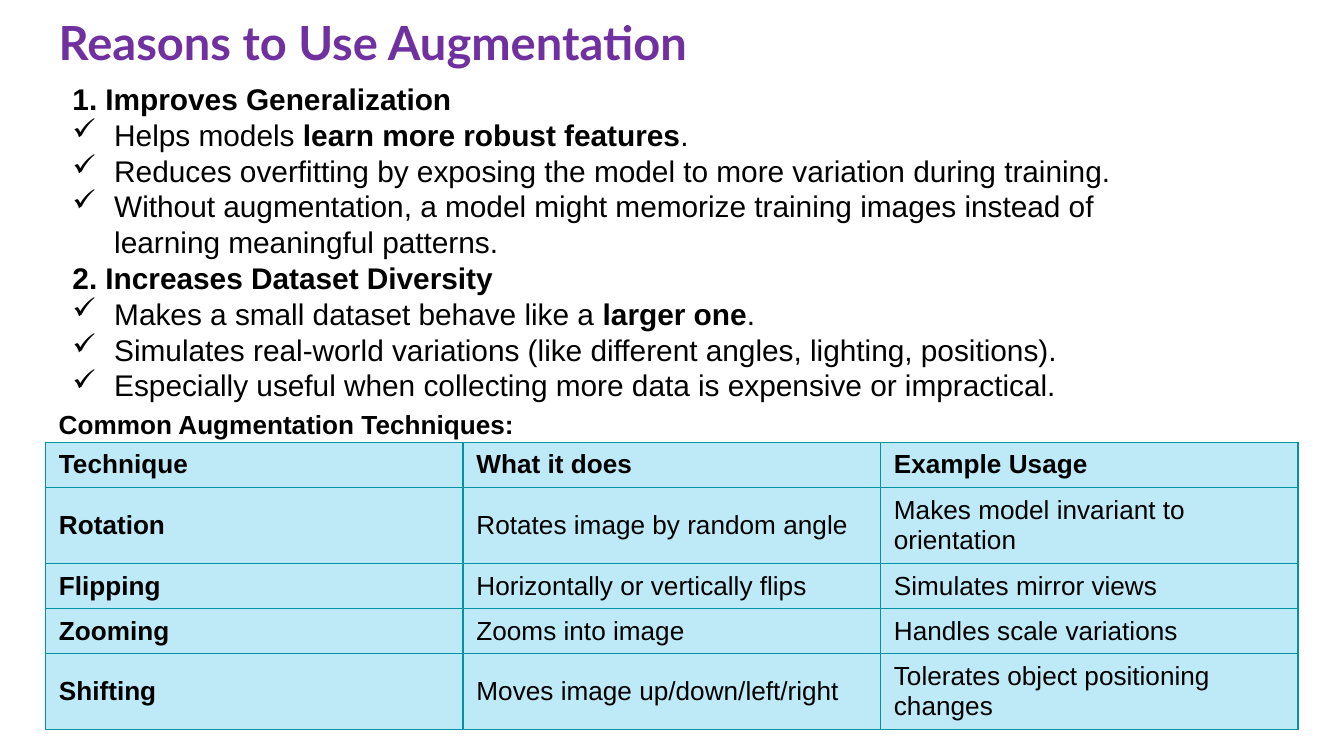
"""Build a slide on the reasons to use data augmentation."""
import lxml.etree
import pptx
import pptx.dml.color
import pptx.enum.text
import pptx.oxml.ns
import pptx.util
from pptx.util import Cm

TITLE = "Reasons to Use Augmentation"
REASONS = [
    ("1. Improves Generalization", [
        "Helps models **learn more robust features**.",
        "Reduces overfitting by exposing the model to more variation during training.",
        "Without augmentation, a model might memorize training images instead of "
        "learning meaningful patterns.",
    ]),
    ("2. Increases Dataset Diversity", [
        "Makes a small dataset behave like a **larger one**.",
        "Simulates real-world variations (like different angles, lighting, positions).",
        "Especially useful when collecting more data is expensive or impractical.",
    ]),
]
CAPTION = "Common Augmentation Techniques:"
TECHNIQUES = [
    ("Technique", "What it does", "Example Usage"),
    ("Rotation", "Rotates image by random angle", "Makes model invariant to orientation"),
    ("Flipping", "Horizontally or vertically flips", "Simulates mirror views"),
    ("Zooming", "Zooms into image", "Handles scale variations"),
    ("Shifting", "Moves image up/down/left/right", "Tolerates object positioning changes"),
]
ROW_HEIGHTS = [0.85, 1.44, 0.85, 0.85, 1.44]
COLUMN_WIDTH = 7.89
LEFT = 0.86
THEME = {
    "title": {"font": "Lato", "size": 25.2, "color": "7030A0"},
    "body": {"font": "Arial", "size": 16, "color": "000000"},
    "table": {"font": "Arial", "size": 14, "color": "000000"},
    "cell_fill": "BEE9F7",
    "border": "0094A3",
    "border_width": 0.75,
}


def rgb(value):
    """Turn a hex string into a colour."""
    return pptx.dml.color.RGBColor.from_string(value)


def add_element(parent, tag, **attributes):
    """Append a drawing element to a parent."""
    return lxml.etree.SubElement(parent, pptx.oxml.ns.qn(tag), attributes)


def write_text(paragraph, text, *, font, size, color, bold=False):
    """Write text into a paragraph, with **marked** parts in bold."""
    for index, part in enumerate(text.split("**")):
        if part:
            run = paragraph.add_run()
            run.text = part
            run.font.name = font
            run.font.size = pptx.util.Pt(size)
            run.font.color.rgb = rgb(color)
            run.font.bold = bold or index % 2 == 1


def add_box(slide, left, top, width, height):
    """Add a wrapping text box and return its text frame."""
    frame = slide.shapes.add_textbox(Cm(left), Cm(top), Cm(width), Cm(height)).text_frame
    frame.word_wrap = True
    return frame


def add_check(paragraph):
    """Give a paragraph a hanging check mark."""
    properties = paragraph._p.get_or_add_pPr()
    properties.set("marL", str(Cm(0.79)))
    properties.set("indent", str(-Cm(0.79)))
    color = add_element(properties, "a:buClr")
    add_element(color, "a:srgbClr", val=THEME["body"]["color"])
    add_element(properties, "a:buChar", char="✓")


def add_reasons(slide):
    """Add the numbered reasons with their checked points."""
    frame = add_box(slide, 1.12, 1.4, 21.34, 7.09)
    lines = []
    for heading, points in REASONS:
        lines += [(heading, True)] + [(point, False) for point in points]
    for index, (text, is_heading) in enumerate(lines):
        paragraph = frame.add_paragraph() if index else frame.paragraphs[0]
        if not is_heading:
            add_check(paragraph)
        write_text(paragraph, text, bold=is_heading, **THEME["body"])


def style_cell(cell):
    """Set the borders, fill and anchor of a cell."""
    properties = cell._tc.get_or_add_tcPr()
    width = str(pptx.util.Pt(THEME["border_width"]))
    for side in ("a:lnL", "a:lnR", "a:lnT", "a:lnB"):
        fill = add_element(add_element(properties, side, w=width), "a:solidFill")
        add_element(fill, "a:srgbClr", val=THEME["border"])
    cell.fill.solid()
    cell.fill.fore_color.rgb = rgb(THEME["cell_fill"])
    cell.vertical_anchor = pptx.enum.text.MSO_ANCHOR.MIDDLE


def add_techniques(slide):
    """Add the table of techniques."""
    columns = len(TECHNIQUES[0])
    table = slide.shapes.add_table(
        len(TECHNIQUES), columns, Cm(LEFT), Cm(8.36),
        Cm(COLUMN_WIDTH * columns), Cm(sum(ROW_HEIGHTS))).table
    table.first_row = table.horz_banding = False
    for column in table.columns:
        column.width = Cm(COLUMN_WIDTH)
    for row, height in zip(table.rows, ROW_HEIGHTS):
        row.height = Cm(height)
    for row_index, texts in enumerate(TECHNIQUES):
        for column_index, text in enumerate(texts):
            cell = table.cell(row_index, column_index)
            style_cell(cell)
            is_header = row_index == 0 or column_index == 0
            write_text(cell.text_frame.paragraphs[0], text, bold=is_header, **THEME["table"])


def main():
    """Build and save the presentation."""
    presentation = pptx.Presentation()
    presentation.slide_width, presentation.slide_height = Cm(25.4), Cm(14.29)
    slide = presentation.slides.add_slide(presentation.slide_layouts[6])
    title = add_box(slide, LEFT, 0, 23.14, 1.75)
    title.margin_top = title.margin_bottom = Cm(0.25)
    write_text(title.paragraphs[0], TITLE, bold=True, **THEME["title"])
    add_reasons(slide)
    add_techniques(slide)
    caption = add_box(slide, LEFT, 7.59, 9.22, 0.85)
    caption.word_wrap = False
    write_text(caption.paragraphs[0], CAPTION, bold=True, **THEME["table"])
    presentation.save("out.pptx")


if __name__ == "__main__":
    main()
